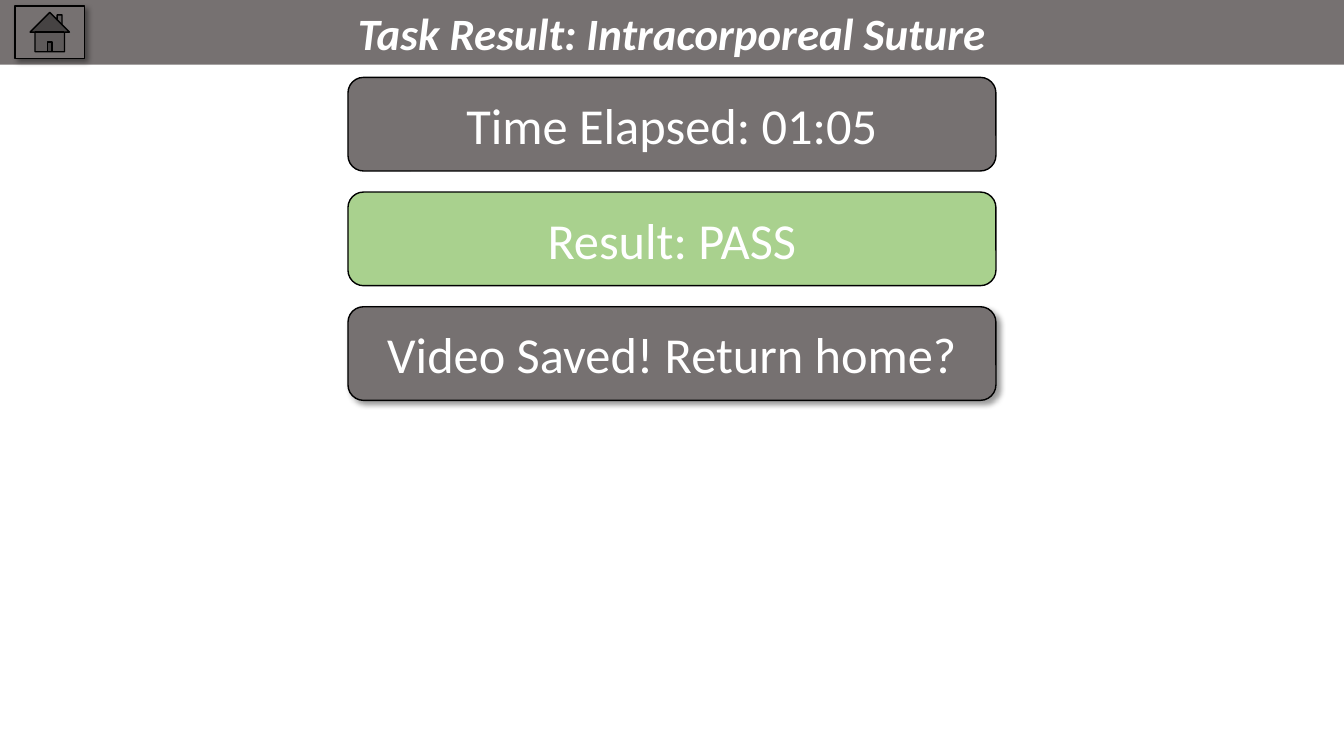
from dataclasses import dataclass

from lxml.etree import SubElement
from pptx import Presentation
from pptx.dml.color import RGBColor
from pptx.enum.shapes import MSO_SHAPE
from pptx.enum.text import MSO_ANCHOR, MSO_AUTO_SIZE, PP_ALIGN
from pptx.oxml.ns import qn
from pptx.shapes.autoshape import Shape
from pptx.slide import Slide
from pptx.util import Cm, Pt

GRAY, GREEN, WHITE, BLACK = "767171", "A9D18E", "FFFFFF", "000000"
SLIDE_WIDTH, SLIDE_HEIGHT = 33.87, 19.05
PANEL_WIDTH, PANEL_HEIGHT = 16.33, 2.36
FIRST_PANEL_TOP, PANEL_PITCH = 1.95, 2.89


@dataclass
class Panel:
    text: str
    color: str = GRAY
    raised: bool = False


PANELS = [
    Panel("Time Elapsed: 01:05"),
    Panel("Result: PASS", GREEN),
    Panel("Video Saved! Return home?", raised=True),
]


def set_color(color_holder, color: str) -> None:
    """Color a fill solidly, or set the color of a font."""
    if hasattr(color_holder, "solid"):
        color_holder.solid()
        color_holder.fore_color.rgb = RGBColor.from_string(color)
    else:
        color_holder.color.rgb = RGBColor.from_string(color)


def add_shadow(shape: Shape) -> None:
    effects = shape._element.spPr.find(qn("a:effectLst"))
    shadow = SubElement(effects, qn("a:outerShdw"), blurRad=str(Pt(4)), dist=str(Pt(3)),
                        dir=str(45 * 60000), algn="tl", rotWithShape="0")
    shadow_color = SubElement(shadow, qn("a:srgbClr"), val=BLACK)
    SubElement(shadow_color, qn("a:alpha"), val="40000")


def write_text(shape: Shape, text: str, size: int) -> None:
    frame = shape.text_frame
    frame.text = text
    frame.word_wrap = True
    frame.auto_size = MSO_AUTO_SIZE.NONE
    frame.vertical_anchor = MSO_ANCHOR.MIDDLE
    paragraph = frame.paragraphs[0]
    paragraph.alignment = PP_ALIGN.CENTER
    paragraph.font.name = "Calibri"
    paragraph.font.size = Pt(size)
    set_color(paragraph.font, WHITE)


def add_box(slide: Slide, kind: MSO_SHAPE, left: float, top: float,
            width: float, height: float, color: str, raised: bool) -> Shape:
    shape = slide.shapes.add_shape(kind, Cm(left), Cm(top), Cm(width), Cm(height))
    set_color(shape.fill, color)
    set_color(shape.line.fill, BLACK)
    shape.line.width = Pt(1)
    shape.shadow.inherit = False
    if raised:
        add_shadow(shape)
    return shape


def format_title(title: Shape) -> None:
    title.left, title.top = Cm(0), Cm(0)
    title.width, title.height = Cm(SLIDE_WIDTH), Cm(1.63)
    set_color(title.fill, GRAY)
    write_text(title, "Task Result: Intracorporeal Suture", 32)
    font = title.text_frame.paragraphs[0].font
    font.bold = font.italic = True


def main() -> None:
    presentation = Presentation()
    presentation.slide_width = Cm(SLIDE_WIDTH)
    presentation.slide_height = Cm(SLIDE_HEIGHT)
    title_only = presentation.slide_layouts.get_by_name("Title Only")
    slide = presentation.slides.add_slide(title_only)

    format_title(slide.shapes.title)
    add_box(slide, MSO_SHAPE.ACTION_BUTTON_HOME, 0.38, 0.15, 1.75, 1.32, GRAY, True)
    panel_left = (SLIDE_WIDTH - PANEL_WIDTH) / 2
    for row, panel in enumerate(PANELS):
        shape = add_box(slide, MSO_SHAPE.ROUNDED_RECTANGLE, panel_left,
                        FIRST_PANEL_TOP + row * PANEL_PITCH,
                        PANEL_WIDTH, PANEL_HEIGHT, panel.color, panel.raised)
        write_text(shape, panel.text, 36)

    presentation.save("out.pptx")


if __name__ == "__main__":
    main()
